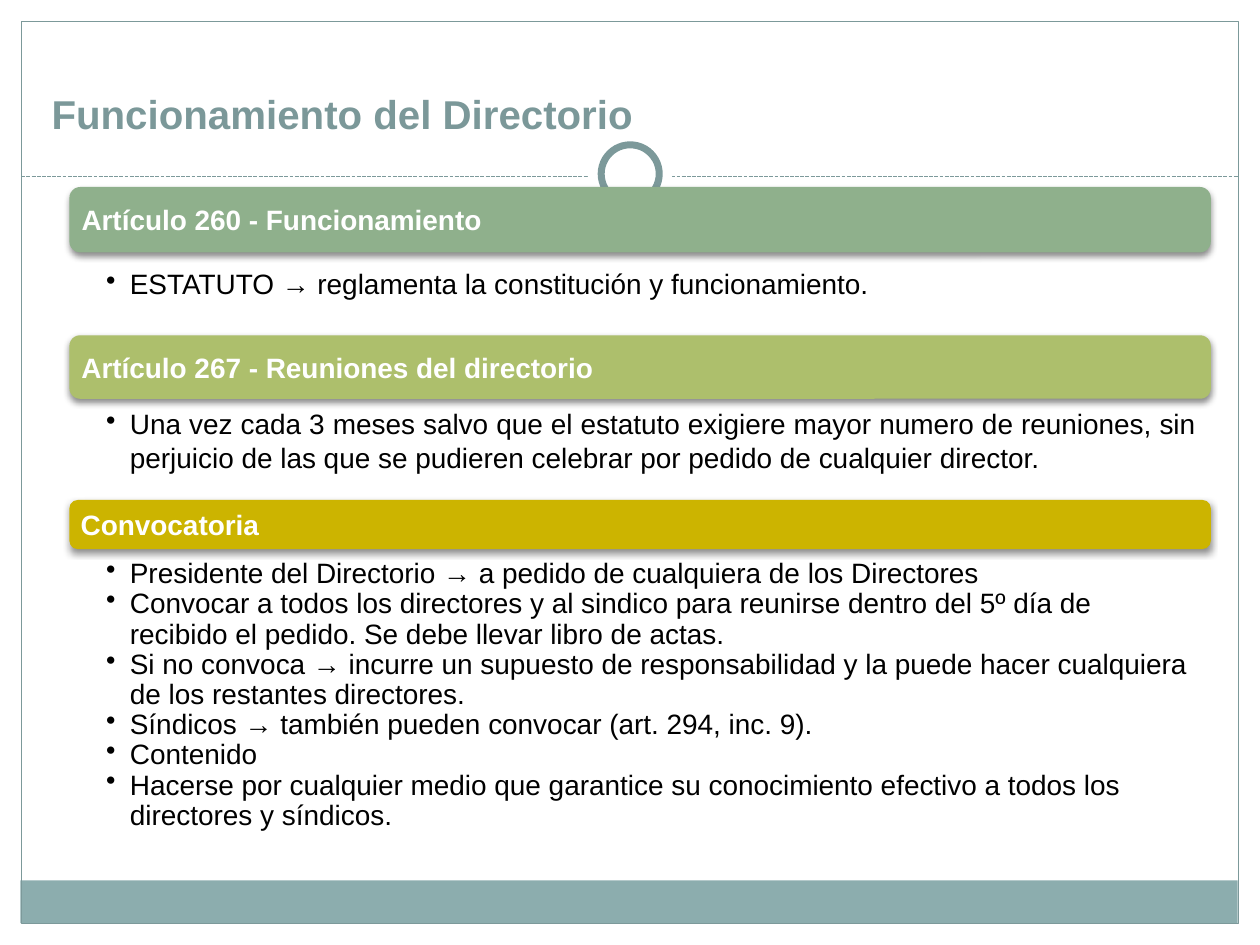
from lxml import etree
from pptx import Presentation
from pptx.dml.color import RGBColor
from pptx.enum.dml import MSO_LINE
from pptx.enum.shapes import MSO_CONNECTOR, MSO_SHAPE
from pptx.enum.text import MSO_ANCHOR, PP_ALIGN
from pptx.oxml import parse_xml
from pptx.oxml.ns import nsdecls, qn
from pptx.util import Cm, Pt

FONT = "Arial"
TEAL, BAND_TEAL, WHITE, BLACK = "7C999A", "8CADAE", "FFFFFF", "000000"
LEFT, WIDTH = 1.4, 23.01  # shared by all section bars and their text
JUSTIFY = PP_ALIGN.JUSTIFY

# heading, colour, bar top, bar height, heading alignment,
# text top, text height, text alignment, line spacing, space after, points
SECTIONS = [
    ("Artículo 260 - Funcionamiento", "8FB08C", 3.77, 1.32, JUSTIFY,
     5.33, 1.98, None, 1, 6,
     ["ESTATUTO → reglamenta la constitución y funcionamiento."]),
    ("Artículo 267 - Reuniones del directorio", "ADBF6C", 6.76, 1.28, None,
     8.15, 1.8, JUSTIFY, 1, 6,
     ["Una vez cada 3 meses salvo que el estatuto exigiere mayor numero de "
      "reuniones, sin perjuicio de las que se pudieren celebrar por pedido de "
      "cualquier director."]),
    ("Convocatoria", "CCB400", 10.08, 0.99, JUSTIFY,
     11.23, 7.24, None, 0.9, 0,
     ["Presidente del Directorio → a pedido de cualquiera de los Directores",
      "Convocar a todos los directores y al sindico para reunirse dentro del "
      "5º día de recibido el pedido. Se debe llevar libro de actas.",
      "Si no convoca → incurre un supuesto de responsabilidad y la puede hacer "
      "cualquiera de los restantes directores.",
      "Síndicos → también pueden convocar (art. 294, inc. 9).",
      "Contenido",
      "Hacerse por cualquier medio que garantice su conocimiento efectivo a "
      "todos los directores y síndicos."]),
]


def color(hex_code):
    return RGBColor.from_string(hex_code)


def add_box(slide, preset, left, top, width, height, fill=None, line=None, weight=0.75):
    box = slide.shapes.add_shape(preset, Cm(left), Cm(top), Cm(width), Cm(height))
    box.shadow.inherit = False
    if fill:
        box.fill.solid()
        box.fill.fore_color.rgb = color(fill)
    else:
        box.fill.background()
    if line:
        box.line.color.rgb = color(line)
        box.line.width = Pt(weight)
    else:
        box.line.fill.background()
    return box


def add_divider(slide, left, right, y):
    divider = slide.shapes.add_connector(
        MSO_CONNECTOR.STRAIGHT, Cm(left), Cm(y), Cm(right), Cm(y))
    divider.line.color.rgb = color(TEAL)
    divider.line.width = Pt(0.75)
    divider.line.dash_style = MSO_LINE.SQUARE_DOT
    etree.SubElement(divider._element.spPr, qn("a:effectLst"))


def set_frame(frame, anchor, left, top, right, bottom):
    frame.word_wrap = True
    frame.vertical_anchor = anchor
    frame.margin_left, frame.margin_top = Cm(left), Cm(top)
    frame.margin_right, frame.margin_bottom = Cm(right), Cm(bottom)


def write(paragraph, text, size, hex_code, bold=False, align=None, after=0):
    paragraph.text = text
    paragraph.alignment = align or PP_ALIGN.LEFT
    paragraph.space_after = Pt(after)
    font = paragraph.font
    font.name, font.size, font.bold = FONT, Pt(size), bold
    font.color.rgb = color(hex_code)


def add_shadow(bar):
    effects = bar._element.spPr.find(qn("a:effectLst"))
    effects.append(parse_xml(
        f'<a:outerShdw {nsdecls("a")} blurRad="{Pt(4)}" dist="{Pt(2)}" '
        'dir="5400000" rotWithShape="0"><a:srgbClr val="000000">'
        '<a:alpha val="45000"/></a:srgbClr></a:outerShdw>'))


def add_bullet(paragraph):
    properties = paragraph._p.get_or_add_pPr()
    properties.set("marL", str(Cm(0.48)))
    properties.set("indent", str(-Cm(0.48)))
    bullet = parse_xml(f'<a:buChar {nsdecls("a")} char="•"/>')
    properties.insert_element_before(bullet, "a:tabLst", "a:defRPr", "a:extLst")


def add_title(slide, text):
    title = slide.shapes.add_textbox(Cm(0.79), Cm(0.79), Cm(23.7), Cm(2.11))
    set_frame(title.text_frame, MSO_ANCHOR.BOTTOM, 0.25, 0.13, 0.25, 0.13)
    write(title.text_frame.paragraphs[0], text, 23, "7B9899", bold=True)


def add_heading_bar(slide, text, fill, top, height, align):
    bar = add_box(slide, MSO_SHAPE.ROUNDED_RECTANGLE, LEFT, top, WIDTH, height, fill)
    add_shadow(bar)
    set_frame(bar.text_frame, MSO_ANCHOR.MIDDLE, 0.18, 0.18, 0.18, 0.18)
    write(bar.text_frame.paragraphs[0], text, 16, WHITE, True, align, 6)


def add_points(slide, points, top, height, align, spacing, after):
    body = slide.shapes.add_textbox(Cm(LEFT), Cm(top), Cm(WIDTH), Cm(height))
    frame = body.text_frame
    set_frame(frame, MSO_ANCHOR.TOP, 0.74, 0.05, 0.3, 0.05)
    for index, point in enumerate(points):
        paragraph = frame.add_paragraph() if index else frame.paragraphs[0]
        write(paragraph, point, 16, BLACK, align=align, after=after)
        paragraph.level = 1
        paragraph.line_spacing = spacing
        add_bullet(paragraph)


def add_backdrop(slide):
    # White margins, bottom band and frame
    add_box(slide, MSO_SHAPE.RECTANGLE, 0, 0, 25.4, 3.86, WHITE)
    for left in (0, 24.97):
        add_box(slide, MSO_SHAPE.RECTANGLE, left, 0, 0.43, 19.05, WHITE)
    add_box(slide, MSO_SHAPE.RECTANGLE, 0.41, 17.75, 24.54, 0.86, BAND_TEAL)
    add_box(slide, MSO_SHAPE.RECTANGLE, 0.43, 0.43, 24.54, 18.19, line=TEAL)
    # Divider with its ring
    add_divider(slide, 0.43, 24.97, 3.56)
    add_box(slide, MSO_SHAPE.OVAL, 11.85, 2.67, 1.7, 1.7, WHITE)
    add_box(slide, MSO_SHAPE.OVAL, 12.12, 2.92, 1.17, 1.17, WHITE, TEAL, 4)


def main():
    deck = Presentation()
    deck.slide_width, deck.slide_height = Cm(25.4), Cm(19.05)
    slide = deck.slides.add_slide(deck.slide_layouts[6])

    add_backdrop(slide)
    add_title(slide, "Funcionamiento del Directorio")

    # Sections: coloured heading bar, then bulleted points
    for (heading, fill, bar_top, bar_height, bar_align,
         text_top, text_height, align, spacing, after, points) in SECTIONS:
        add_heading_bar(slide, heading, fill, bar_top, bar_height, bar_align)
        add_points(slide, points, text_top, text_height, align, spacing, after)

    deck.save("out.pptx")


if __name__ == "__main__":
    main()
